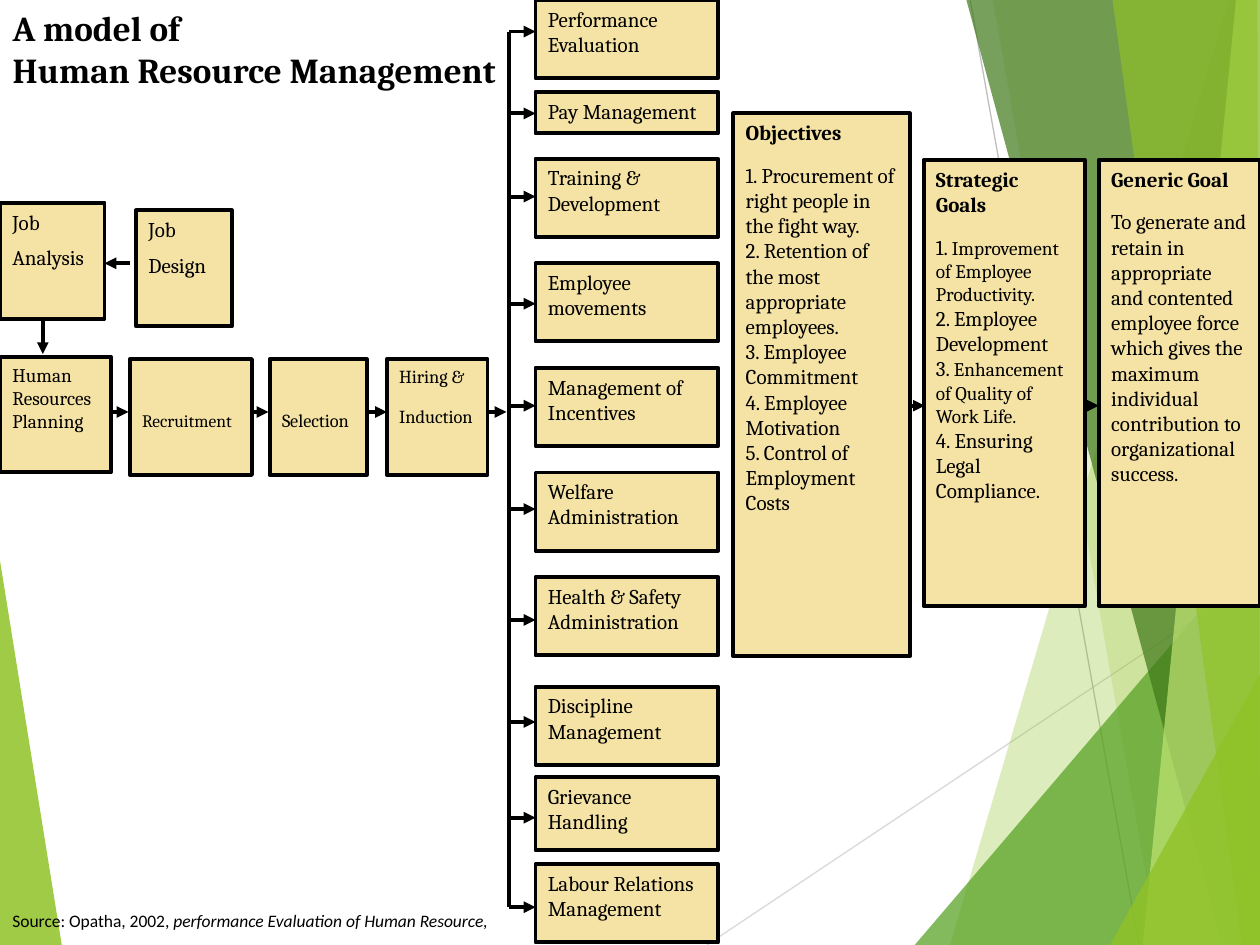
from lxml import etree
from pptx import Presentation
from pptx.dml.color import RGBColor
from pptx.enum.shapes import MSO_CONNECTOR, MSO_SHAPE
from pptx.enum.text import MSO_ANCHOR, MSO_AUTO_SIZE, PP_ALIGN
from pptx.oxml.ns import qn
from pptx.util import Inches, Pt

STRAIGHT = MSO_CONNECTOR.STRAIGHT
RECTANGLE = MSO_SHAPE.RECTANGLE
TOP = MSO_ANCHOR.TOP
LEFT = PP_ALIGN.LEFT
NO_AUTOFIT = MSO_AUTO_SIZE.NONE
TITLE_ONLY = 5

color = RGBColor.from_string
BLACK = "000000"
SAND = "F5E3A5"

deck = Presentation()
deck.slide_width, deck.slide_height = Inches(10), Inches(7.5)
page = deck.slides.add_slide(deck.slide_layouts[TITLE_ONLY])
shapes = page.shapes


def add_line(x1, y1, x2, y2, line_color=BLACK, width=2.25, arrow=True):
    line = shapes.add_connector(
        STRAIGHT, Inches(x1), Inches(y1), Inches(x2), Inches(y2))
    line.line.color.rgb = color(line_color)
    line.line.width = Pt(width)
    properties = line._element.spPr
    if arrow:
        etree.SubElement(properties.find(qn("a:ln")), qn("a:tailEnd"), type="triangle")
    etree.SubElement(properties, qn("a:effectLst"))


def add_box(left, top, width, height, text, size=12, after=10, inset=0.05):
    """Add a sand-coloured box; each line of text becomes a paragraph."""
    box = shapes.add_shape(
        RECTANGLE, Inches(left), Inches(top), Inches(width), Inches(height))
    box.shadow.inherit = False
    box.fill.solid()
    box.fill.fore_color.rgb = color(SAND)
    box.line.color.rgb = color(BLACK)
    box.line.width = Pt(2.25)
    frame = box.text_frame
    frame.word_wrap = True
    frame.vertical_anchor = TOP
    frame.margin_top = Inches(inset)
    frame.text = text
    for para in frame.paragraphs:
        para.alignment = LEFT
        para.space_after = Pt(after)
        para.font.size = Pt(size)
        for span in para.runs:
            span.font.name = "Cambria"
            span.font.size = Pt(size)
            span.font.color.rgb = color(BLACK)
    return box


# Background facets: colour, opacity in percent, corners
facets = [
    ("90C226", 85, [(0, 4.45), (0.49, 7.5), (0, 7.5)]),
    ("90C226", 30, [(9.75, 0), (7.54, 7.5), (10, 7.5), (10, 0)]),
    ("90C226", 20, [(7.88, 0), (9.19, 7.5), (10, 7.5), (10, 0)]),
    ("54A021", 72, [(7.26, 7.5), (10, 4.29), (10, 7.5)]),
    ("3F7819", 70, [(7.67, 0), (9.7, 7.5), (10, 7.5), (10, 0)]),
    ("C0E474", 70, [(9.81, 0), (9.07, 7.5), (10, 7.5), (10, 0)]),
    ("90C226", 65, [(8.83, 0), (9.86, 7.5), (10, 7.5), (9.98, 0)]),
    ("90C226", 80, [(8.81, 7.5), (10, 5.35), (10, 7.5)]),
]
add_line(5.61, 7.5, 10, 4.57, "D9D9D9", 0.75, arrow=False)
add_line(7.7, 0, 9.04, 7.5, "BFBFBF", 0.75, arrow=False)
for facet_color, opacity, corners in facets:
    points = [(Inches(x), Inches(y)) for x, y in corners]
    builder = shapes.build_freeform(*points[0])
    builder.add_line_segments(points[1:])
    facet = builder.convert_to_shape()
    facet.shadow.inherit = False
    facet.line.fill.background()
    facet.fill.solid()
    facet.fill.fore_color.rgb = color(facet_color)
    fill_color = facet._element.spPr.find(qn("a:solidFill"))[0]
    etree.SubElement(fill_color, qn("a:alpha"), val=str(opacity * 1000))

# Job design through induction
add_box(1.08, 1.67, 0.76, 0.92, "Job\nDesign", after=6)
add_box(0, 1.61, 0.83, 0.92, "Job\nAnalysis", after=6)
add_box(0, 2.83, 0.88, 0.92, "Human Resources Planning", size=11)
add_box(1.03, 2.85, 0.97, 0.92, "Recruitment", size=10, inset=0.4)
add_box(2.14, 2.85, 0.77, 0.92, "Selection", size=10.5, inset=0.4)
add_box(3.07, 2.85, 0.8, 0.92, "Hiring &\nInduction", size=10.5)
add_line(1.03, 2.09, 0.83, 2.09)
add_line(0.34, 2.52, 0.34, 2.81)
for x in (0.88, 1.99, 2.93, 3.88):
    add_line(x, 3.27, x + 0.14, 3.27)

# HRM functions: name, top, height, arrow level
functions = [
    ("Performance Evaluation", 0, 0.62, 0.25),
    ("Pay Management", 0.73, 0.33, 0.9),
    ("Training & Development", 1.26, 0.62, 1.56),
    ("Employee movements", 2.09, 0.62, 2.41),
    ("Management of Incentives", 2.92, 0.62, 3.22),
    ("Welfare Administration", 3.75, 0.62, 4.04),
    ("Health & Safety Administration", 4.58, 0.62, 4.92),
    ("Discipline Management", 5.45, 0.62, 5.73),
    ("Grievance Handling", 6.17, 0.58, 6.49),
    ("Labour Relations Management", 6.86, 0.62, 7.2),
]
add_line(4.04, functions[0][-1], 4.04, functions[-1][-1], arrow=False)
for name, top, height, level in functions:
    add_box(4.25, top, 1.45, height, name)
    add_line(4.04, level, 4.25, level)

# Outcome panels: left, top, width, height, heading, items, numbered, 11-point items
panels = [
    (5.82, 0.9, 1.4, 4.31, "Objectives", [
        "Procurement of right people in the fight way.",
        "Retention of the most appropriate employees.",
        "Employee Commitment",
        "Employee Motivation",
        "Control of Employment Costs"], True, ()),
    (7.33, 1.27, 1.28, 3.54, "Strategic Goals", [
        "Improvement of Employee Productivity.",
        "Employee Development",
        "Enhancement of Quality of Work Life.",
        "Ensuring Legal Compliance."], True, (0, 2)),
    (8.72, 1.27, 1.28, 3.54, "Generic Goal", [
        "To generate and retain in appropriate and contented employee force which "
        "gives the maximum individual contribution to organizational success."],
        False, ()),
]
for left, top, width, height, heading, items, numbered, small_items in panels:
    box = add_box(left, top, width, height, "\n".join([heading, *items]))
    title_para, *item_paras = box.text_frame.paragraphs
    title_para.runs[0].font.bold = True
    if not numbered:
        continue
    for index, para in enumerate(item_paras):
        para.space_after = Pt(0)
        para.text = ". "
        para.add_run().text = items[index]
        for span, size in zip(para.runs, (12, 11 if index in small_items else 12)):
            span.font.name = "Cambria"
            span.font.size = Pt(size)
            span.font.color.rgb = color(BLACK)
        properties = para._p.get_or_add_pPr()
        properties.set("marL", "0")
        properties.set("indent", "0")
        etree.SubElement(properties, qn("a:buFont"), typeface="Arial")
        etree.SubElement(properties, qn("a:buAutoNum"), type="arabicPlain")
add_line(7.22, 3.22, 7.34, 3.22)
add_line(8.61, 3.22, 8.72, 3.22)

# Source and title
source = shapes.add_textbox(Inches(0), Inches(7.17), Inches(4.84), Inches(0.33))
source.text_frame.word_wrap = True
para = source.text_frame.paragraphs[0]
para.text = "Source: Opatha, 2002, "
para.add_run().text = "performance Evaluation of Human Resource,"
para.runs[1].font.italic = True
for span in para.runs:
    span.font.name = "Calibri"
    span.font.size = Pt(10)
    span.font.color.rgb = color(BLACK)

title = shapes.title
title.left, title.top = Inches(0), Inches(0)
title.width, title.height = Inches(4.13), Inches(0.77)
frame = title.text_frame
frame.text = "A model of\nHuman Resource Management"
frame.word_wrap = False
frame.auto_size = NO_AUTOFIT
frame.vertical_anchor = TOP
for para in frame.paragraphs:
    para.alignment = LEFT
    font = para.runs[0].font
    font.name = "Cambria"
    font.size = Pt(20)
    font.bold = True
    font.color.rgb = color(BLACK)

deck.save("out.pptx")
